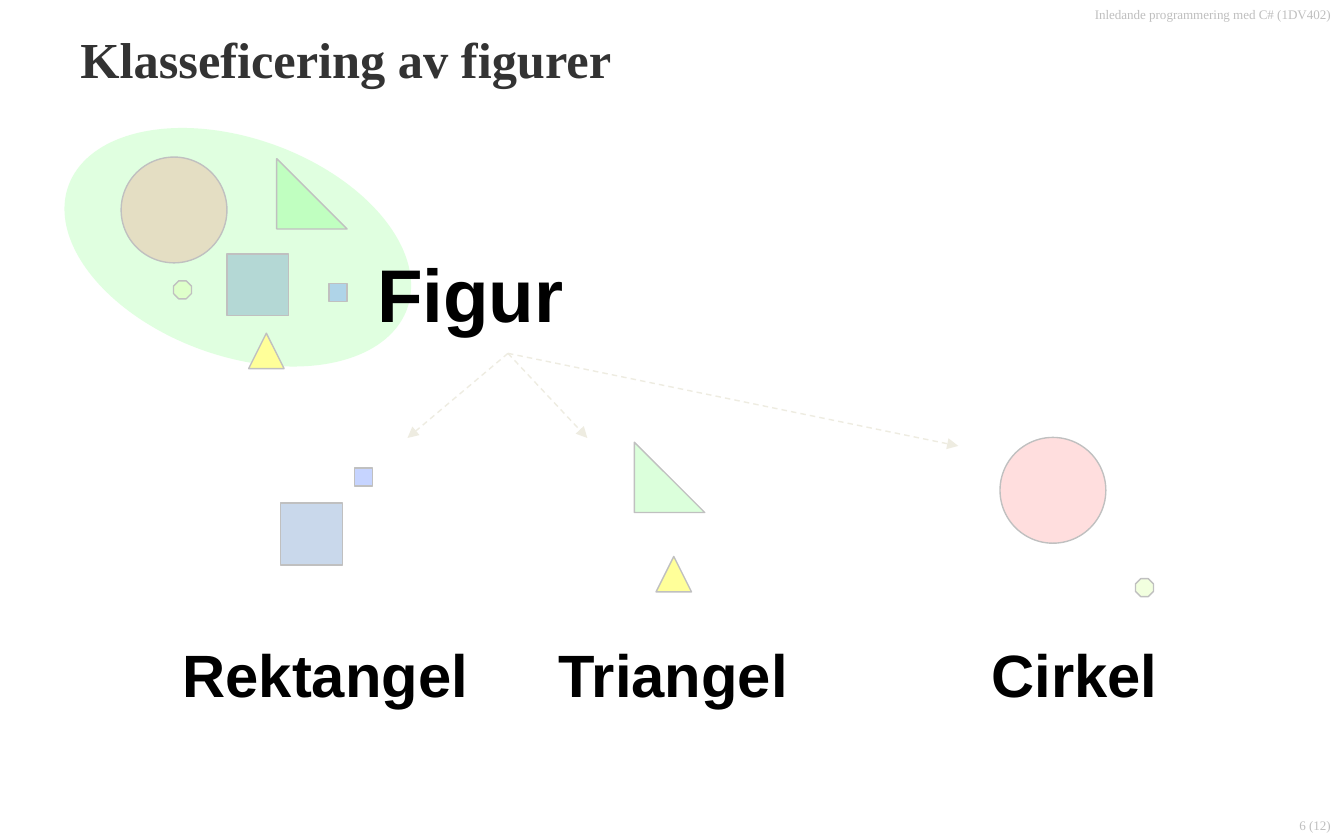
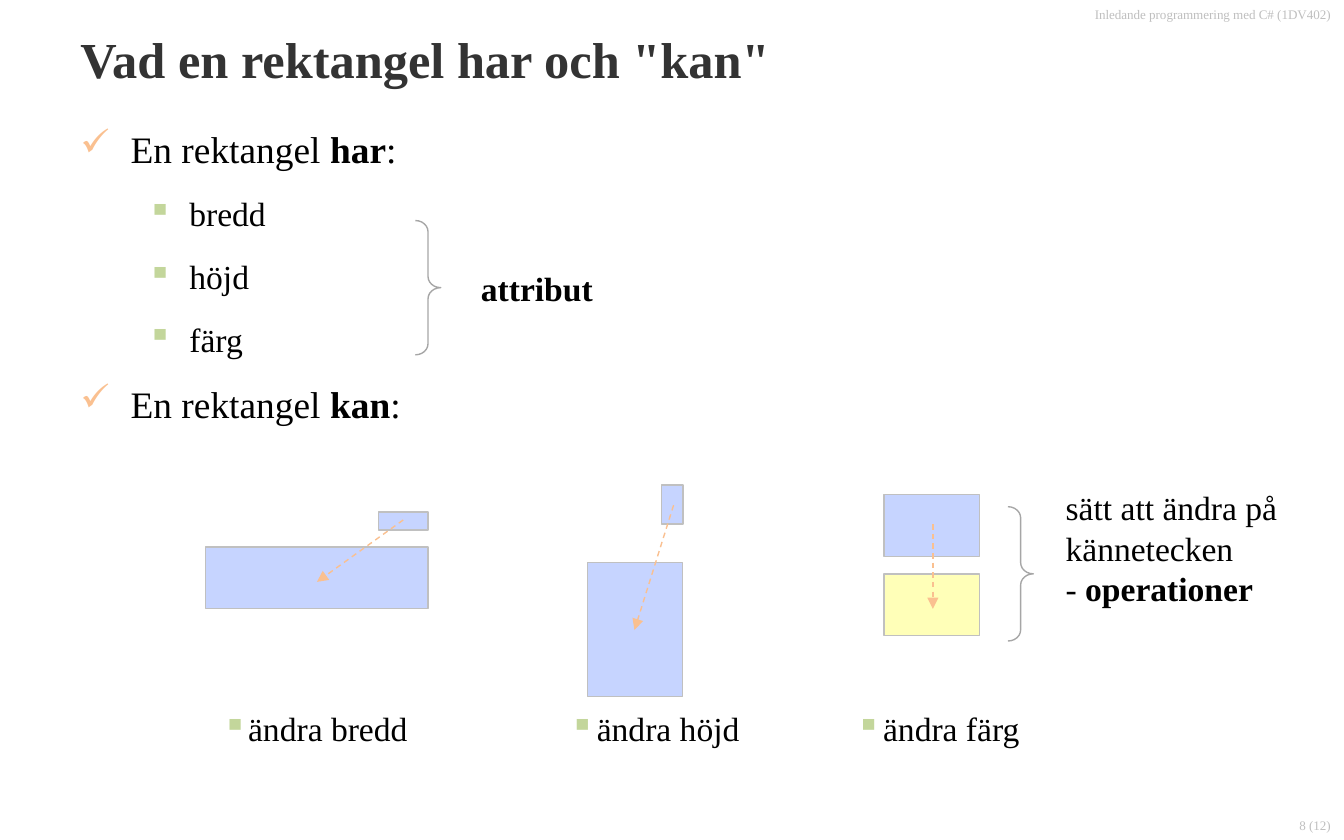
"""Build two slides that sort figures into classes and show what a rectangle has and can do."""
from typing import Any, NamedTuple, Optional

from lxml.etree import SubElement
from pptx import Presentation
from pptx.dml.color import RGBColor
from pptx.enum.dml import MSO_LINE_DASH_STYLE as Dash
from pptx.enum.shapes import MSO_CONNECTOR as Link, MSO_SHAPE as Geo
from pptx.enum.text import MSO_ANCHOR as Anchor, MSO_AUTO_SIZE as Fit, PP_ALIGN as Align
from pptx.oxml.ns import qn
from pptx.util import Cm, Pt

BLACK = RGBColor(0x00, 0x00, 0x00)
DARK = RGBColor(0x33, 0x33, 0x33)
SILVER = RGBColor(0xBF, 0xBF, 0xBF)
EDGE = RGBColor(0xC0, 0xC0, 0xC0)
GREY = RGBColor(0xA6, 0xA6, 0xA6)
CREAM = RGBColor(0xEE, 0xEC, 0xE1)
PEACH = RGBColor(0xFA, 0xC0, 0x90)
MOSS = RGBColor(0xC3, 0xD6, 0x9B)
MINT = RGBColor(0xCC, 0xFF, 0xCC)
STEEL = RGBColor(0x4F, 0x81, 0xBD)
BLUE = RGBColor(0x33, 0x66, 0xFF)
GREEN = RGBColor(0x00, 0xFF, 0x00)
STRAW = RGBColor(0xFF, 0xFF, 0x99)
RED = RGBColor(0xFF, 0x00, 0x00)
LIME = RGBColor(0xDA, 0xFF, 0x9F)
YELLOW = RGBColor(0xFF, 0xFF, 0x00)

SERIF, SANS = "Times New Roman", "Arial"
COURSE = "Inledande programmering med C# (1DV402)"
TOTAL = 12


class Box(NamedTuple):
    left: float
    top: float
    width: float
    height: float


class Ink(NamedTuple):
    color: RGBColor
    alpha: int = 100


class Form(NamedTuple):
    geo: Any
    size: float
    ink: Ink


class Type(NamedTuple):
    size: float
    name: str = SERIF
    color: RGBColor = BLACK
    bold: bool = False


class Mark(NamedTuple):
    char: str
    color: RGBColor
    left: float
    hang: float
    level: int
    space: float


class Para(NamedTuple):
    runs: list[tuple[str, bool]]
    type: Type
    mark: Optional[Mark] = None
    align: Any = Align.LEFT


BLUISH = Ink(BLUE, 28)
FORMS = {
    "square": Form(Geo.RECTANGLE, 1.17, Ink(STEEL, 30)),
    "tile": Form(Geo.RECTANGLE, 0.34, BLUISH),
    "wedge": Form(Geo.RIGHT_TRIANGLE, 1.33, Ink(GREEN, 14)),
    "peak": Form(Geo.ISOSCELES_TRIANGLE, 0.67, Ink(STRAW)),
    "disc": Form(Geo.OVAL, 2.0, Ink(RED, 13)),
    "dot": Form(Geo.OCTAGON, 0.34, Ink(LIME, 33)),
}
MIXED = {"square": (4.29, 4.8), "disc": (2.29, 2.97), "wedge": (5.23, 3.0),
         "peak": (4.7, 6.3), "tile": (6.22, 5.36), "dot": (3.28, 5.31)}
SORTED = {"square": (5.3, 9.51), "tile": (6.7, 8.85), "wedge": (11.99, 8.36),
          "peak": (12.4, 10.52), "disc": (18.9, 8.27), "dot": (21.46, 10.94)}
NAMES = [("Figur", 40, Box(6.88, 4.57, 4.06, 1.96)),
         ("Rektangel", 32, Box(3.2, 11.94, 5.94, 1.63)),
         ("Triangel", 32, Box(10.31, 11.94, 4.88, 1.63)),
         ("Cirkel", 32, Box(18.49, 11.94, 3.68, 1.63))]
ROOT = (9.6, 6.68)
LEAVES = [(7.7, 8.28), (11.1, 8.28), (18.11, 8.43)]

CHECK = Mark("✓", PEACH, 0.95, 0.95, 0, 12)
DETAIL = Mark("▪", MOSS, 2.06, 0.79, 1, 12)
TRAITS = ["bredd", "höjd", "färg"]
ACTS = [("ändra bredd", Box(2.69, 13.26, 5.33, 1.02), 1.75, 0.48),
        ("ändra höjd", Box(10.01, 13.26, 4.24, 1.02), 1.02, 0.51),
        ("ändra färg", Box(15.42, 13.26, 4.14, 1.02), 1.02, 0.51)]
PAINT = [(Box(16.71, 10.85, 1.8, 1.17), Ink(YELLOW, 28)),
         (Box(16.71, 9.35, 1.8, 1.17), BLUISH)]
WIDEN = [(Box(3.89, 10.34, 4.2, 1.17), BLUISH), (Box(7.15, 9.68, 0.94, 0.34), BLUISH)]
RAISE = [(Box(11.1, 10.63, 1.8, 2.54), BLUISH), (Box(12.5, 9.17, 0.41, 0.74), BLUISH)]
BRACES = [Box(7.85, 4.17, 0.48, 2.54), Box(19.05, 9.58, 0.48, 2.54)]
MOVES = [((7.62, 9.83), (5.99, 11.0)), ((12.73, 9.55), (11.99, 11.91)),
         ((17.63, 9.91), (17.63, 11.51))]


def assign(item: Any, values: dict[str, Any]) -> None:
    for key, value in values.items():
        setattr(item, key, value)


def style(font: Any, kind: Type, bold: bool = False) -> None:
    assign(font, {"size": Pt(kind.size), "name": kind.name, "bold": kind.bold or bold})
    font.color.rgb = kind.color


def bullet(para: Any, mark: Mark) -> None:
    assign(para, {"level": mark.level, "space_before": Pt(mark.space)})
    props = para._p.get_or_add_pPr()
    props.set("marL", str(Cm(mark.left)))
    props.set("indent", str(-Cm(mark.hang)))
    SubElement(SubElement(props, qn("a:buClr")), qn("a:srgbClr"), val=str(mark.color))
    SubElement(props, qn("a:buChar"), char=mark.char)


def write(slide: Any, box: Box, paras: list[Para], **values: Any) -> None:
    frame = slide.shapes.add_textbox(*map(Cm, box)).text_frame
    assign(frame, {"word_wrap": True, "auto_size": Fit.NONE} | values)
    for index, item in enumerate(paras):
        para = frame.add_paragraph() if index else frame.paragraphs[0]
        para.alignment = item.align
        if item.mark:
            bullet(para, item.mark)
        for text, bold in item.runs:
            if text == "\n":
                para.add_line_break()
                continue
            run = para.add_run()
            run.text = text
            style(run.font, item.type, bold)


def label(slide: Any, box: Box, text: str, kind: Type, mark: Optional[Mark] = None) -> None:
    write(slide, box, [Para([(text, False)], kind, mark)],
          word_wrap=False, auto_size=Fit.SHAPE_TO_FIT_TEXT)


def draw(shapes: Any, geo: Any, box: Box, ink: Optional[Ink], edge: Optional[RGBColor] = EDGE) -> Any:
    shape = shapes.add_shape(geo, *map(Cm, box))
    shape.shadow.inherit = False
    if ink:
        shape.fill.solid()
        shape.fill.fore_color.rgb = ink.color
        if ink.alpha < 100:
            tint = shape.element.spPr.find(qn("a:solidFill")).find(qn("a:srgbClr"))
            SubElement(tint, qn("a:alpha"), val=str(ink.alpha * 1000))
    else:
        shape.fill.background()
    if edge:
        shape.line.color.rgb = edge
        shape.line.width = Pt(0.75)
    else:
        shape.line.fill.background()
    return shape


def scatter(slide: Any, spots: dict[str, tuple[float, float]]) -> None:
    for name, (left, top) in spots.items():
        form = FORMS[name]
        draw(slide.shapes, form.geo, Box(left, top, form.size, form.size), form.ink)


def blocks(shapes: Any, items: list[tuple[Box, Ink]]) -> None:
    for box, ink in items:
        draw(shapes, Geo.RECTANGLE, box, ink)


def arrow(slide: Any, start: tuple[float, float], end: tuple[float, float], color: RGBColor) -> None:
    link = slide.shapes.add_connector(Link.STRAIGHT, *map(Cm, start + end))
    link.line.color.rgb = color
    assign(link.line, {"width": Pt(0.75), "dash_style": Dash.DASH})
    props = link._element.spPr
    SubElement(props.find(qn("a:ln")), qn("a:tailEnd"), type="triangle")
    SubElement(props, qn("a:effectLst"))


def start(deck: Any, title: str, page: int) -> Any:
    slide = deck.slides.add_slide(deck.slide_layouts[5])
    small = Type(7, color=SILVER)
    write(slide, Box(21.16, 15.32, 4.24, 0.56),
          [Para([(f"{page} ({TOTAL})", False)], small, align=Align.RIGHT)],
          vertical_anchor=Anchor.BOTTOM)
    write(slide, Box(13.77, 0, 11.63, 0.86),
          [Para([(COURSE, False)], small, align=Align.RIGHT)])
    head = slide.shapes.title
    place = Box(1.27, 0.28, 22.86, 1.65)
    assign(head, dict(zip(place._fields, map(Cm, place))))
    frame = head.text_frame
    frame.text = title
    sides = ("left", "top", "right", "bottom")
    assign(frame, {f"margin_{side}": Cm(0.25) for side in sides})
    assign(frame, {"auto_size": Fit.NONE, "vertical_anchor": Anchor.TOP, "word_wrap": True})
    frame.paragraphs[0].alignment = Align.LEFT
    style(frame.paragraphs[0].runs[0].font, Type(27, color=DARK, bold=True))
    return slide


def classes(deck: Any) -> None:
    slide = start(deck, "Klasseficering av figurer", 6)
    cloud = draw(slide.shapes, Geo.OVAL, Box(1.09, 2.62, 6.81, 4.11), Ink(MINT, 60), None)
    cloud.rotation = 20
    scatter(slide, SORTED)
    for text, size, box in NAMES:
        label(slide, box, text, Type(size, SANS, bold=True))
    for leaf in LEAVES:
        arrow(slide, ROOT, leaf, CREAM)
    scatter(slide, MIXED)


def powers(deck: Any) -> None:
    slide = start(deck, 'Vad en rektangel har och "kan"', 8)
    large, mid = Type(20), Type(18)
    has, can = (Para([("En rektangel ", False), (verb, True), (":", False)], large, CHECK)
                for verb in ("har", "kan"))
    traits = [Para([(text, False)], mid, DETAIL) for text in TRAITS]
    write(slide, Box(1.27, 2.26, 22.86, 12.83), [has, *traits, can])
    blocks(slide.shapes, PAINT)
    label(slide, Box(8.84, 4.95, 2.72, 1.02), "attribut", Type(18, bold=True))
    runs = [("sätt att ändra på kännetecken", False), ("\n", False),
            ("- ", False), ("operationer", True)]
    write(slide, Box(19.89, 9.09, 5.0, 2.57), [Para(runs, mid)])
    blocks(slide.shapes, WIDEN)
    blocks(slide.shapes.add_group_shape().shapes, RAISE)
    for text, box, left, hang in ACTS:
        label(slide, box, text, mid, Mark("▪", MOSS, left, hang, 1, 3.6))
    for box in BRACES:
        brace = draw(slide.shapes, Geo.RIGHT_BRACE, box, None, GREY)
        brace.adjustments[0] = 0.44
    for tail, tip in MOVES:
        arrow(slide, tail, tip, PEACH)


def main() -> None:
    deck = Presentation()
    assign(deck, {"slide_width": Cm(25.4), "slide_height": Cm(15.88)})
    classes(deck)
    powers(deck)
    deck.save("out.pptx")


main()
